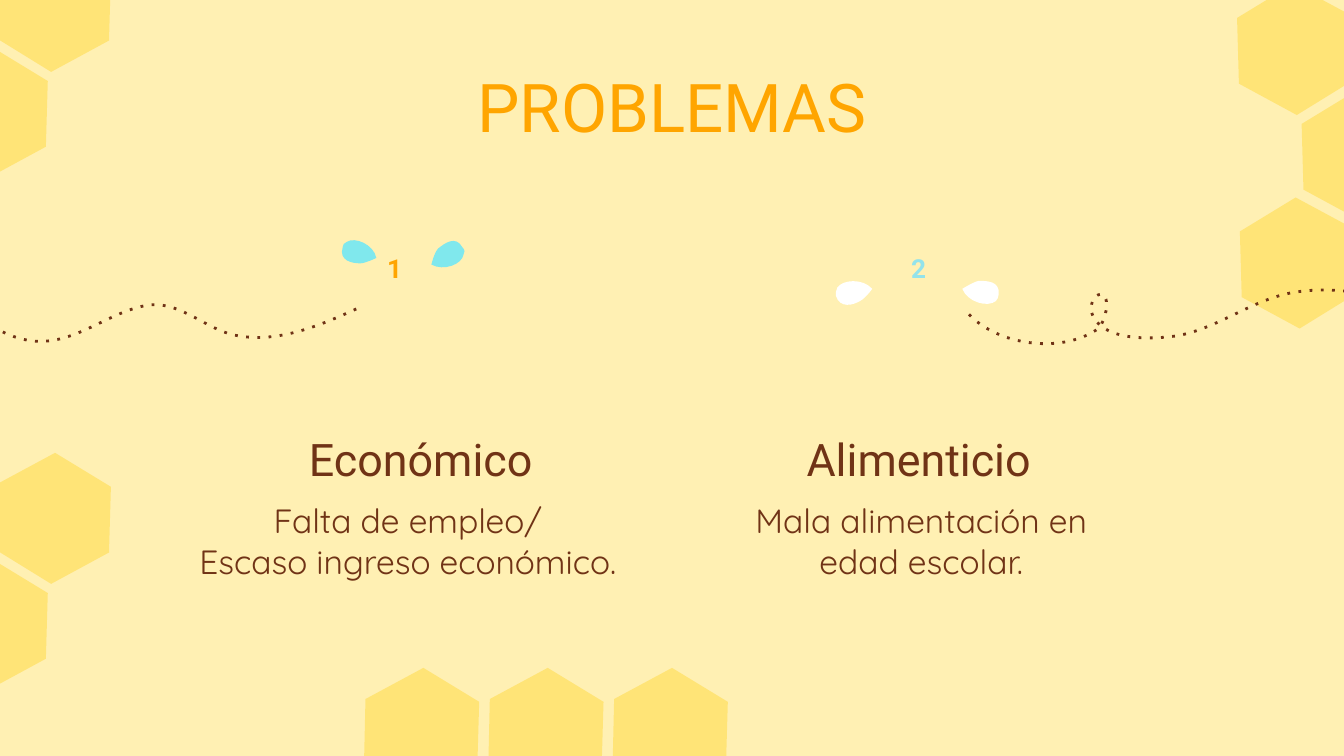
import lxml.etree
import pptx
import pptx.dml.color
import pptx.enum.text
import pptx.oxml.ns
import pptx.util

Pt = pptx.util.Pt
RGBColor = pptx.dml.color.RGBColor
Anchor = pptx.enum.text.MSO_ANCHOR
qn = pptx.oxml.ns.qn

CREAM = RGBColor(0xFF, 0xF0, 0xB3)
HONEY = RGBColor(0xFF, 0xDB, 0x45)
ORANGE = RGBColor(0xFF, 0xA5, 0x00)
BROWN = RGBColor(0x70, 0x33, 0x16)
SKY = RGBColor(0x80, 0xE8, 0xED)
PALE_SKY = RGBColor(0x93, 0xE3, 0xEB)
WHITE = RGBColor(0xFF, 0xFF, 0xFF)

# Content: boxes are left, top, width, height
TITLE = ("PROBLEMAS", (36.7, 27.7, 646.6, 52.6))
PROBLEMS = [
    {"number": "1", "number_color": ORANGE, "number_box": (197.3, 131.8, 28.1, 66.2),
     "heading": "Económico", "heading_box": (153.7, 231.4, 143.3, 36),
     "lines": ["Falta de empleo/", "Escaso ingreso económico."],
     "body_box": (95, 260.8, 247, 68.4)},
    {"number": "2", "number_color": PALE_SKY, "number_box": (478, 131.8, 28.1, 66.2),
     "heading": "Alimenticio", "heading_box": (401.4, 231.4, 181.4, 36),
     "lines": ["Mala alimentación en edad escolar."],
     "body_box": (381.2, 260.8, 224.6, 74.2)},
]

# Honeycomb: offsets from the top corner, then top corners by direction
HEXAGON = [(0, 0), (-29.9, 18.2), (-28.9, 53.4), (2.1, 70.2), (31.8, 51.9), (31, 16.7)]
RIGHT_CORNERS = [(692.6, -8.6), (725.8, -66.2), (694.1, 105.8), (727.2, 48.2)]
LEFT_PAIR = [(29.5, -31.7), (-4.3, 25.2)]
LEFT_PAIR_STEP = 274.3
BOTTOM_START, BOTTOM_STEP = (226.8, 357.8), 66.6

# Curves: a start point, then two control points and an end point per piece
WINGS = [
    (SKY, (248.4, 136.1), [
        (249.1, 135.4, 249.1, 133.9, 247.7, 132.5), (244.1, 126, 238.3, 130.3, 234.7, 133.2),
        (232.6, 135.4, 231.1, 141.8, 231.1, 141.8), (237.6, 145.4, 247.7, 141.8, 248.4, 136.1)]),
    (SKY, (185.8, 129.6), [
        (184.3, 130.3, 183.6, 131, 183.6, 132.5), (181.4, 139.7, 188.6, 141.1, 193, 141.1),
        (195.8, 141.1, 201.6, 138.2, 201.6, 138.2), (200.2, 131, 190.1, 126.7, 185.8, 129.6)]),
    (WHITE, (533.5, 161.3), [
        (534.2, 160.6, 535, 159.1, 535, 157.7), (535.7, 150.5, 528.5, 150.5, 524.2, 150.5),
        (521.3, 151.2, 515.5, 154.8, 515.5, 154.8), (518.4, 162, 529.2, 164.9, 533.5, 161.3)]),
    (WHITE, (448.6, 154.1), [
        (447.8, 155.5, 447.8, 157, 447.8, 158.4), (450, 165.6, 457.2, 163.4, 460.8, 161.3),
        (463.7, 159.8, 467.3, 154.8, 467.3, 154.8), (462.2, 149, 451.4, 149.8, 448.6, 154.1)]),
]
TRAILS = [
    ((-20.9, 158.4), [
        (-12.2, 172.1, 5.8, 182.9, 21.6, 182.9), (42.5, 182.9, 59.8, 166.3, 79.9, 163.4),
        (97.2, 161.3, 111.6, 177.8, 128.2, 180), (149.8, 183.6, 172.1, 174.2, 192.2, 164.9)]),
    ((519.1, 168.5), [
        (535, 185, 567.4, 189.4, 586.8, 177.1), (592.6, 174.2, 595.4, 157.7, 589.7, 157.7),
        (586.1, 157.7, 583.9, 163.4, 584.6, 167), (589, 182.2, 614.2, 182.2, 630, 180),
        (651.6, 176.4, 669.6, 161.3, 691.2, 157), (709.9, 153.4, 730.1, 156.2, 748.8, 161.3)]),
]


def bend_segments(shape):
    """Turn each three straight segments into one cubic curve."""
    segments = list(shape._element.iter(qn("a:lnTo")))
    for first in range(0, len(segments), 3):
        curve = lxml.etree.Element(qn("a:cubicBezTo"))
        segments[first].addprevious(curve)
        for segment in segments[first:first + 3]:
            curve.append(segment[0])
            segment.getparent().remove(segment)


def add_outline(slide, points, fill=None, alpha=None, line=None, curved=False):
    corners = [(Pt(x), Pt(y)) for x, y in points]
    builder = slide.shapes.build_freeform(*corners[0])
    builder.add_line_segments(corners[1:], close=fill is not None)
    shape = builder.convert_to_shape()
    shape.shadow.inherit = False
    if curved:
        bend_segments(shape)
    if fill is None:
        shape.fill.background()
    else:
        shape.fill.solid()
        shape.fill.fore_color.rgb = fill
    if alpha is not None:
        color = shape.fill._xPr.find(qn("a:solidFill"))[0]
        lxml.etree.SubElement(color, qn("a:alpha")).set("val", str(alpha * 1000))
    if line is None:
        shape.line.fill.background()
    else:
        shape.line.color.rgb = line
        shape.line.width = Pt(1.5)
        outline = shape.line._get_or_add_ln()
        lxml.etree.SubElement(outline, qn("a:prstDash")).set("val", "dot")


def add_curve(slide, start, pieces, **style):
    points = [start]
    for piece in pieces:
        points += zip(piece[::2], piece[1::2])
    add_outline(slide, points, curved=True, **style)


def write_text(shape, lines, box, size, color, font="Roboto", bold=False,
               anchor=Anchor.TOP, inset=7.2):
    shape.left, shape.top, shape.width, shape.height = map(Pt, box)
    frame = shape.text_frame
    frame.word_wrap = True
    frame.auto_size = pptx.enum.text.MSO_AUTO_SIZE.NONE
    frame.vertical_anchor = anchor
    frame.margin_left = frame.margin_right = Pt(7.2)
    frame.margin_top = frame.margin_bottom = Pt(inset)
    frame.text = "\n".join(lines)
    for paragraph in frame.paragraphs:
        paragraph.alignment = pptx.enum.text.PP_ALIGN.CENTER
        paragraph.font.name = font
        paragraph.font.size = Pt(size)
        paragraph.font.bold = bold
        paragraph.font.color.rgb = color


def add_text(slide, lines, box, **style):
    write_text(slide.shapes.add_textbox(0, 0, 0, 0), lines, box, **style)


def main():
    presentation = pptx.Presentation()
    presentation.slide_width, presentation.slide_height = Pt(720), Pt(405)
    slide = presentation.slides.add_slide(presentation.slide_layouts[5])
    slide.background.fill.solid()
    slide.background.fill.fore_color.rgb = CREAM

    # Honeycomb: left and bottom cells mirror the right ones
    left_corners = [(x, y + i * LEFT_PAIR_STEP) for i in range(2) for x, y in LEFT_PAIR]
    bottom_x, bottom_y = BOTTOM_START
    left_corners += [(bottom_x + i * BOTTOM_STEP, bottom_y) for i in range(3)]
    for direction, corners in ((1, RIGHT_CORNERS), (-1, left_corners)):
        for x, y in corners:
            cell = [(x + direction * dx, y + dy) for dx, dy in HEXAGON]
            add_outline(slide, cell, fill=HONEY, alpha=54)

    # Title
    title, title_box = TITLE
    write_text(slide.shapes.title, [title], title_box, size=36, color=ORANGE)

    # Problems
    for problem in PROBLEMS:
        add_text(slide, [problem["heading"]], problem["heading_box"], size=24,
                 color=BROWN, anchor=Anchor.BOTTOM)
        add_text(slide, problem["lines"], problem["body_box"], size=18,
                 color=BROWN, font="Quicksand")
        add_text(slide, [problem["number"]], problem["number_box"], size=14,
                 color=problem["number_color"], bold=True, inset=3.6)

    # Bee wings and flight trails
    for color, start, pieces in WINGS:
        add_curve(slide, start, pieces, fill=color)
    for start, pieces in TRAILS:
        add_curve(slide, start, pieces, line=BROWN)

    presentation.save("out.pptx")


if __name__ == "__main__":
    main()
